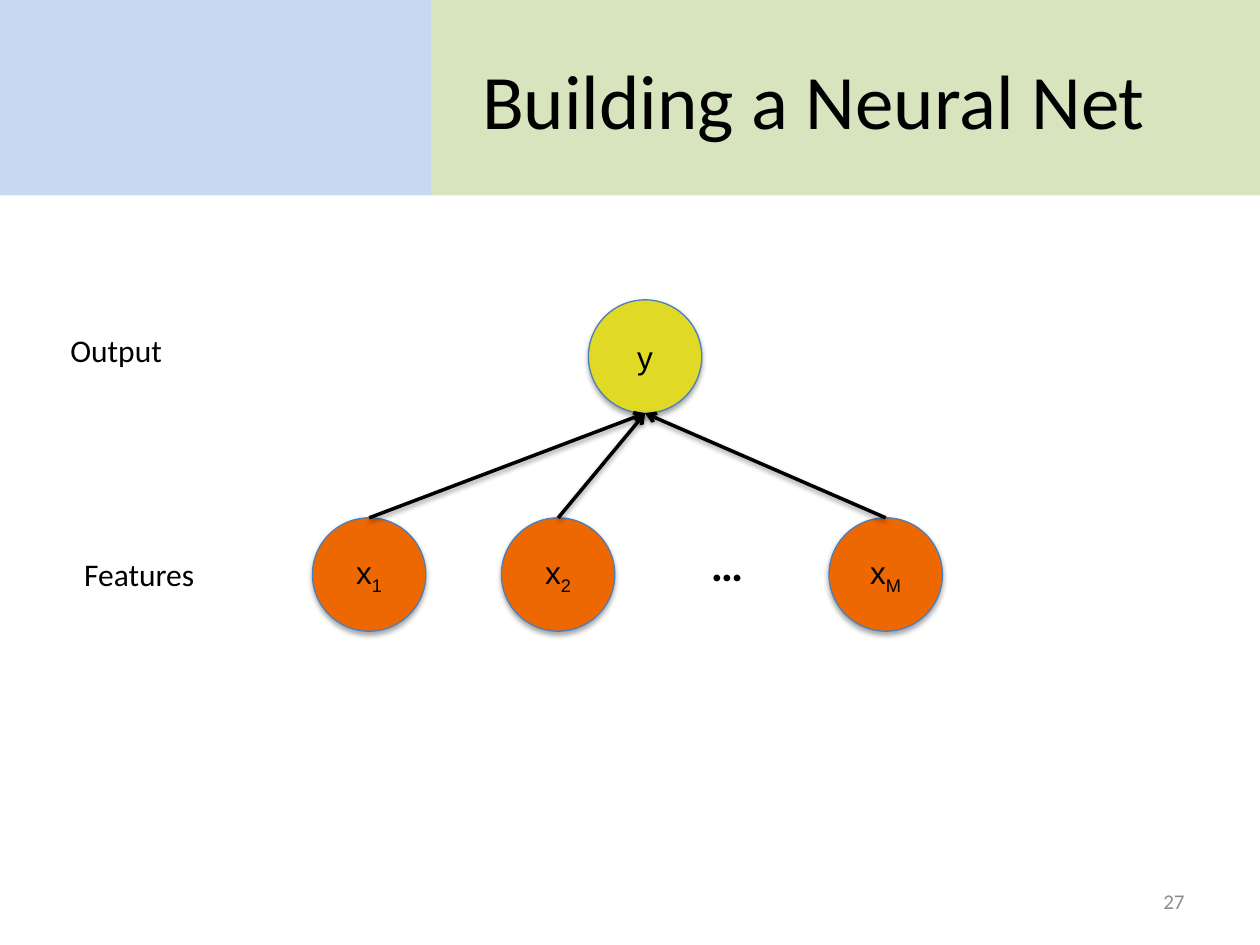
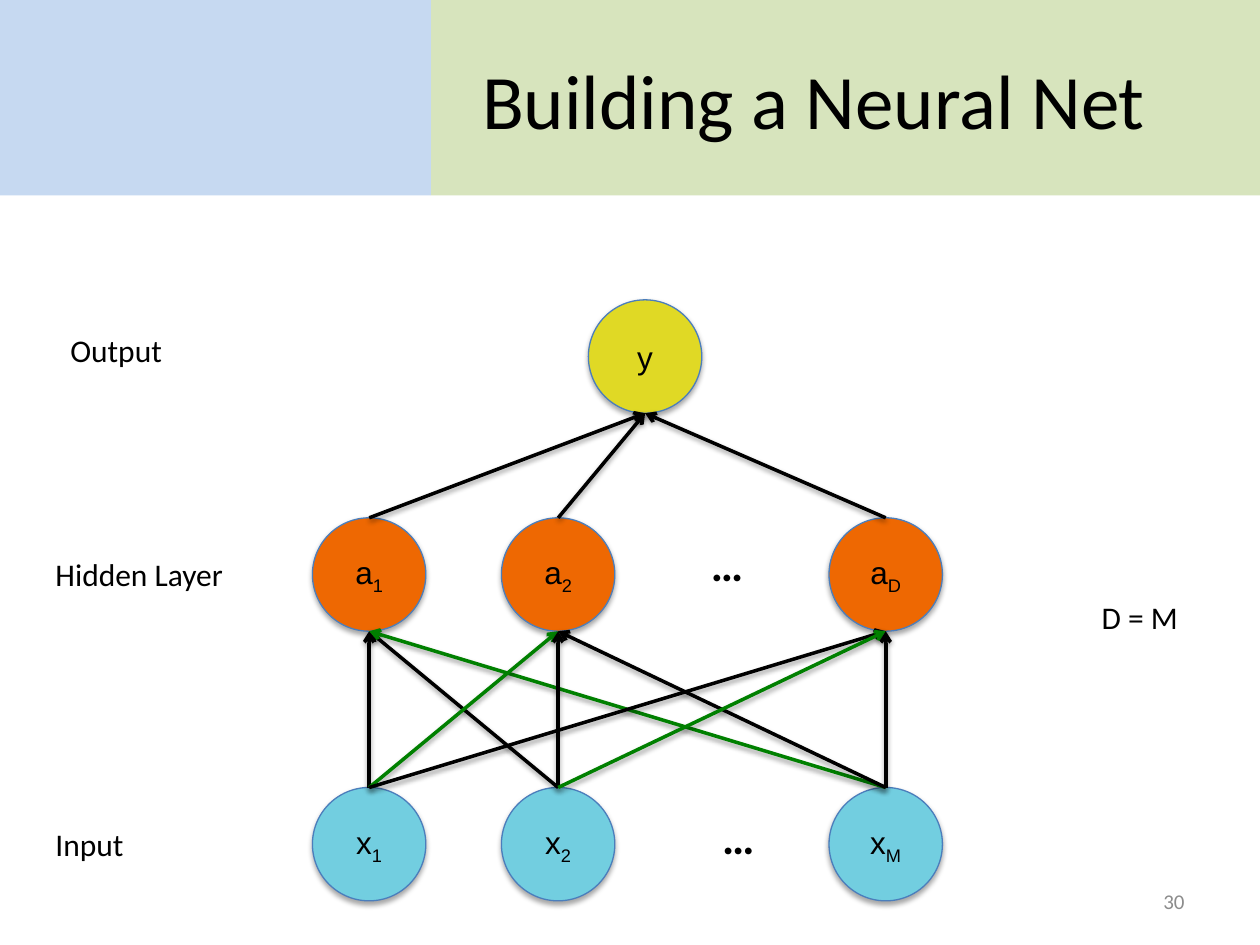
import lxml.etree
import pptx
import pptx.dml.color
import pptx.enum.shapes
import pptx.enum.text
import pptx.oxml.ns
import pptx.util

Inches = pptx.util.Inches
Pt = pptx.util.Pt
qn = pptx.oxml.ns.qn
SHAPE = pptx.enum.shapes.MSO_SHAPE
ALIGN = pptx.enum.text.PP_ALIGN
ANCHOR = pptx.enum.text.MSO_ANCHOR

COLORS = {
    "blue_band": "C6D9F1", "green_band": "D7E4BD", "text": "000000",
    "page": "8C8C8C", "outline": "4B7EBC", "output": "E0D925",
    "hidden": "EE6802", "input": "72CEE0", "green": "008000",
}
NODE = 0.9
OUTPUT_X = 5.12
COLUMNS = (2.93, 4.43, 7.03)
OUTPUT_TOP, HIDDEN_TOP, INPUT_TOP = 2.38, 4.11, 6.25


def rgb(name):
    return pptx.dml.color.RGBColor.from_string(COLORS[name])


def add_xml(parent, tag, **attrs):
    return lxml.etree.SubElement(parent, qn(tag), attrs)


class Deck:
    """Holds the presentation style and draws on the current slide."""

    def __init__(self):
        self.prs = pptx.Presentation()
        self.prs.slide_width, self.prs.slide_height = Inches(10), Inches(7.5)
        self.layout = self.prs.slide_layouts[5]
        self.slide = None

    def new_slide(self, title, page):
        first = self.slide is None
        self.slide = self.prs.slides.add_slide(self.layout)
        if first:
            self.layout_band(0, 3.42, "blue_band")
            self.layout_band(3.42, 6.58, "green_band")
        sp = self.slide.shapes.title
        sp.left, sp.top = Inches(3.42), Inches(0.16)
        sp.width, sp.height = Inches(6.08), Inches(1.25)
        sp.text_frame.text = title
        sp.text_frame.vertical_anchor = ANCHOR.MIDDLE
        self.format(sp.text_frame, 44)
        self.text(str(page), 7.17, 6.95, 2.33, 0.4, size=12, color="page",
                  align=ALIGN.RIGHT, anchor=ANCHOR.MIDDLE)

    def layout_band(self, left, width, color):
        sp = self.slide.shapes.add_shape(
            SHAPE.RECTANGLE, Inches(left), 0, Inches(width), Inches(1.55))
        sp.fill.solid()
        sp.fill.fore_color.rgb = rgb(color)
        sp.line.fill.background()
        sp.shadow.inherit = False
        self.layout.shapes.element.insert(2, sp.element)

    def format(self, tf, size, color="text", font="Calibri", bold=False,
               align=ALIGN.CENTER):
        for p in tf.paragraphs:
            p.alignment = align
            for r in p.runs:
                r.font.size, r.font.name, r.font.bold = Pt(size), font, bold
                r.font.color.rgb = rgb(color)

    def shadow(self, sp, alpha, distance):
        effects = add_xml(sp.element.spPr, "a:effectLst")
        outer = add_xml(effects, "a:outerShdw", blurRad=str(Pt(3.1)),
                        dist=str(Pt(distance)), dir="5400000",
                        rotWithShape="0")
        clr = add_xml(outer, "a:srgbClr", val=COLORS["text"])
        add_xml(clr, "a:alpha", val=str(alpha * 1000))

    def text(self, text, left, top, width, height, size=18, color="text",
             bold=False, align=ALIGN.CENTER, anchor=ANCHOR.TOP):
        sp = self.slide.shapes.add_textbox(
            Inches(left), Inches(top), Inches(width), Inches(height))
        tf = sp.text_frame
        tf.word_wrap = True
        tf.vertical_anchor = anchor
        tf.text = text
        self.format(tf, size, color, bold=bold, align=align)

    def ellipsis(self, left, top):
        self.text("…", left, top, 0.58, 0.54, size=26, bold=True,
                  anchor=ANCHOR.MIDDLE)

    def node(self, x, top, color, symbol, index=""):
        sp = self.slide.shapes.add_shape(
            SHAPE.FLOWCHART_CONNECTOR, Inches(x - NODE / 2), Inches(top),
            Inches(NODE), Inches(NODE))
        sp.fill.solid()
        sp.fill.fore_color.rgb = rgb(color)
        sp.line.color.rgb = rgb("outline")
        sp.line.width = Pt(0.75)
        self.shadow(sp, 35, 1.8)
        tf = sp.text_frame
        tf.vertical_anchor = ANCHOR.MIDDLE
        tf.text = symbol
        if index:
            r = tf.paragraphs[0].add_run()
            r.text = index
            r.font._element.set("baseline", "-25000")
        self.format(tf, 18, font="Arial")

    def layer(self, top, color, symbol, indices):
        for x, index in zip(COLUMNS, indices):
            self.node(x, top, color, symbol, index)

    def arrow(self, source_x, source_top, target_x, target_top, color="text"):
        line = self.slide.shapes.add_connector(
            pptx.enum.shapes.MSO_CONNECTOR.STRAIGHT,
            Inches(target_x), Inches(target_top + NODE),
            Inches(source_x), Inches(source_top))
        line.line.color.rgb = rgb(color)
        line.line.width = Pt(2)
        add_xml(line.element.spPr.find(qn("a:ln")), "a:headEnd", type="arrow")
        self.shadow(line, 38, 1.6)

    def output_network(self, symbol, indices, layer_name):
        self.node(OUTPUT_X, OUTPUT_TOP, "output", "y")
        self.layer(HIDDEN_TOP, "hidden", symbol, indices)
        self.ellipsis(5.48, 4.2)
        for x in COLUMNS:
            self.arrow(x, HIDDEN_TOP, OUTPUT_X, OUTPUT_TOP)
        self.text("Output", 0.46, 2.58, 1.42, 0.4, align=ALIGN.LEFT)
        self.text(layer_name, -0.02, 4.36, 2.25, 0.4)

    def input_network(self):
        self.layer(INPUT_TOP, "input", "x", "12M")
        self.ellipsis(5.57, 6.37)
        for i, target in enumerate(COLUMNS):
            for j, source in enumerate(COLUMNS):
                color = "green" if j == (i - 1) % len(COLUMNS) else "text"
                self.arrow(source, INPUT_TOP, target, HIDDEN_TOP, color)
        self.text("Input", 0, 6.5, 1.42, 0.4)


def main():
    deck = Deck()
    deck.new_slide("Building a Neural Net", 27)
    deck.output_network("x", "12M", "Features")

    deck.new_slide("Building a Neural Net", 30)
    deck.output_network("a", "12D", "Hidden Layer")
    deck.input_network()
    deck.text("D = M", 7.92, 4.7, 2.25, 0.4)
    deck.prs.save("out.pptx")


if __name__ == "__main__":
    main()
